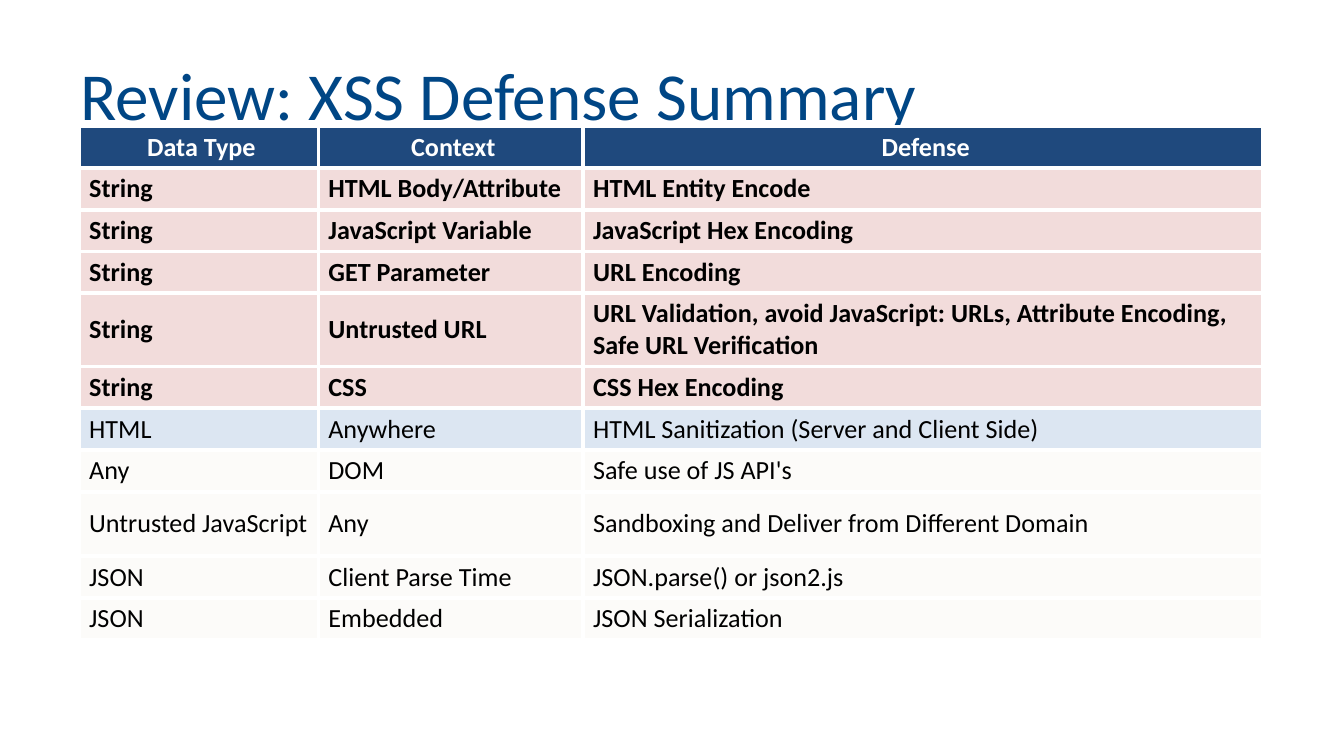
"""Build the XSS defense summary slide."""
from typing import NamedTuple

from lxml import etree
from pptx import Presentation
from pptx.dml.color import RGBColor
from pptx.enum.text import MSO_ANCHOR, PP_ALIGN
from pptx.oxml.ns import qn
from pptx.util import Inches, Pt

MIDDLE = MSO_ANCHOR.MIDDLE
LEFT = PP_ALIGN.LEFT
CENTER = PP_ALIGN.CENTER
TITLE_ONLY = 5

SLIDE_WIDTH = Inches(10)
SLIDE_HEIGHT = SLIDE_WIDTH * 9 // 16

COLORS = {
    "title": "004685",
    "header": "1F497D",
    "string": "F2DCDB",
    "html": "DCE6F2",
    "other": "FCFBF9",
    "white": "FFFFFF",
    "black": "000000",
}
COLUMN_WIDTHS = (1.78, 1.97, 5.06)
ROW_HEIGHT = 0.27
TALL_ROW_HEIGHT = 0.48
CELL_MARGIN = Inches(0.11) // 3
CELL_FORMAT = {
    "margin_left": CELL_MARGIN * 2,
    "margin_right": CELL_MARGIN,
    "margin_top": CELL_MARGIN,
    "margin_bottom": CELL_MARGIN,
    "vertical_anchor": MIDDLE,
}
BORDER_SIDES = ("a:lnL", "a:lnR", "a:lnT", "a:lnB")


class RowStyle(NamedTuple):
    fill: str
    text: str = "black"
    bold: bool = False
    alignment: PP_ALIGN = LEFT


class DefenseRow(NamedTuple):
    style: RowStyle
    texts: tuple[str, str, str]
    height: float = ROW_HEIGHT


HEADER = RowStyle("header", "white", True, CENTER)
STRING = RowStyle("string", bold=True)
HTML = RowStyle("html")
OTHER = RowStyle("other")

ROWS = (
    DefenseRow(HEADER, ("Data Type", "Context", "Defense")),
    DefenseRow(STRING, ("String", "HTML Body/Attribute", "HTML Entity Encode")),
    DefenseRow(STRING, ("String", "JavaScript Variable", "JavaScript Hex Encoding")),
    DefenseRow(STRING, ("String", "GET Parameter", "URL Encoding")),
    DefenseRow(
        STRING,
        ("String", "Untrusted URL",
         "URL Validation, avoid JavaScript: URLs, Attribute Encoding, Safe URL Verification"),
        TALL_ROW_HEIGHT,
    ),
    DefenseRow(STRING, ("String", "CSS", "CSS Hex Encoding")),
    DefenseRow(HTML, ("HTML", "Anywhere", "HTML Sanitization (Server and Client Side)")),
    DefenseRow(OTHER, ("Any", "DOM", "Safe use of JS API's")),
    DefenseRow(
        OTHER,
        ("Untrusted JavaScript", "Any", "Sandboxing and Deliver from Different Domain"),
        TALL_ROW_HEIGHT,
    ),
    DefenseRow(OTHER, ("JSON", "Client Parse Time", "JSON.parse() or json2.js")),
    DefenseRow(OTHER, ("JSON", "Embedded", "JSON Serialization")),
)


def apply_format(target, values: dict) -> None:
    for name, value in values.items():
        setattr(target, name, value)


def write_text(frame, text: str, size: float, color: str, bold: bool, alignment: PP_ALIGN) -> None:
    paragraph = frame.paragraphs[0]
    paragraph.alignment = alignment
    run = paragraph.add_run()
    run.text = text
    apply_format(run.font, {"name": "Calibri", "size": Pt(size), "bold": bold})
    run.font.color.rgb = RGBColor.from_string(COLORS[color])


def add_borders(cell) -> None:
    properties = cell._tc.get_or_add_tcPr()
    for side in BORDER_SIDES:
        line = etree.SubElement(properties, qn(side), w=str(Pt(2.25)))
        fill = etree.SubElement(line, qn("a:solidFill"))
        etree.SubElement(fill, qn("a:srgbClr"), val=COLORS["white"])


def fill_cell(cell, text: str, style: RowStyle) -> None:
    apply_format(cell, CELL_FORMAT)
    add_borders(cell)
    cell.fill.solid()
    cell.fill.fore_color.rgb = RGBColor.from_string(COLORS[style.fill])
    write_text(cell.text_frame, text, 14, style.text, style.bold, style.alignment)


def add_title(slide, text: str) -> None:
    title = slide.shapes.title
    apply_format(title, {"left": Inches(0.5), "top": Inches(0.23),
                         "width": Inches(9), "height": Inches(0.94)})
    apply_format(title.text_frame, {"word_wrap": True, "vertical_anchor": MIDDLE})
    write_text(title.text_frame, text, 36, "title", False, LEFT)


def add_defense_table(slide, rows: tuple[DefenseRow, ...]) -> None:
    width = sum(COLUMN_WIDTHS)
    height = sum(row.height for row in rows)
    table = slide.shapes.add_table(
        len(rows), len(COLUMN_WIDTHS),
        Inches(0.59), Inches(0.94), Inches(width), Inches(height),
    ).table
    for column, column_width in zip(table.columns, COLUMN_WIDTHS):
        column.width = Inches(column_width)
    for table_row, row in zip(table.rows, rows):
        table_row.height = Inches(row.height)
        for cell, text in zip(table_row.cells, row.texts):
            fill_cell(cell, text, row.style)


def main() -> None:
    presentation = Presentation()
    apply_format(presentation, {"slide_width": SLIDE_WIDTH, "slide_height": SLIDE_HEIGHT})
    slide = presentation.slides.add_slide(presentation.slide_layouts[TITLE_ONLY])
    add_title(slide, "Review: XSS Defense Summary")
    add_defense_table(slide, ROWS)
    presentation.save("out.pptx")


if __name__ == "__main__":
    main()
